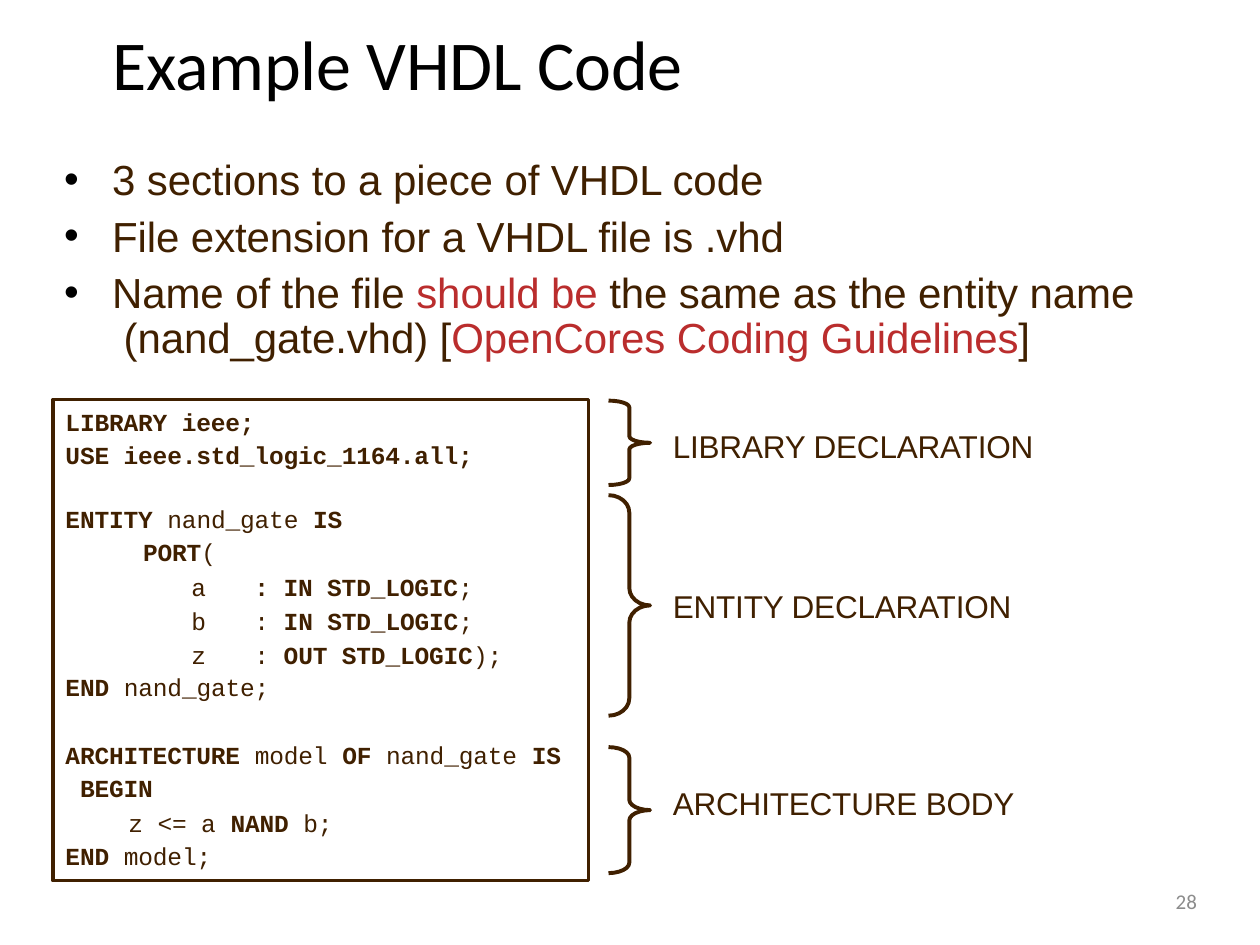
from pptx import Presentation
from pptx.dml.color import RGBColor
from pptx.enum.shapes import MSO_SHAPE
from pptx.enum.text import MSO_ANCHOR, PP_ALIGN
from pptx.oxml import parse_xml
from pptx.oxml.ns import nsdecls
from pptx.util import Inches, Pt

BROWN = RGBColor(0x40, 0x20, 0x00)
RED = RGBColor(0xBA, 0x2D, 0x2D)
BLACK = RGBColor(0, 0, 0)
GRAY = RGBColor(0x8C, 0x8C, 0x8C)
BRACE, RECTANGLE = MSO_SHAPE.RIGHT_BRACE, MSO_SHAPE.RECTANGLE
CENTER, RIGHT = PP_ALIGN.CENTER, PP_ALIGN.RIGHT
MIDDLE = MSO_ANCHOR.MIDDLE

deck = Presentation()
deck.slide_width, deck.slide_height = Inches(10), Inches(7.5)
page = deck.slides.add_slide(deck.slide_layouts[6])


def add_box(left, top, width, height, top_inset=0.02):
    box = page.shapes.add_textbox(Inches(left), Inches(top), Inches(width), Inches(height))
    frame = box.text_frame
    frame.word_wrap = True
    frame.margin_left = frame.margin_right = frame.margin_bottom = 0
    frame.margin_top = Inches(top_inset)
    return frame


def write(para, marked, font, size, color=BROWN, accent=None, tracking=-10):
    """Write text where *...* is in the accent colour, or bold if there is none."""
    for number, piece in enumerate(marked.split("*")):
        marked_piece = number % 2 == 1
        for row, part in enumerate(piece.split("\v")):
            if row:
                para.add_line_break()
            if not part:
                continue
            span = para.add_run()
            span.text = part
            span.font.name, span.font.size = font, Pt(size)
            span.font.bold = marked_piece and accent is None
            span.font.color.rgb = accent if marked_piece and accent else color
            span.font._element.set("spc", str(tracking))


# Title
frame = add_box(0.5, 0.14, 5.31, 0.69)
frame.vertical_anchor = MIDDLE
frame.paragraphs[0].alignment = CENTER
write(frame.paragraphs[0], "Example VHDL Code", "Calibri", 40, BLACK)

# Bullets
bullets = [
    ("3 sections to a piece of VHDL code", 0),
    ("File extension for a VHDL file is .vhd", 3.4),
    ("Name of the file *should be* the same as the entity name\v"
     " (nand_gate.vhd) [*OpenCores Coding Guidelines*]", 6.4),
]
frame = add_box(0.5, 1.1, 8.56, 1.73, 0.12)
for index, (text, before) in enumerate(bullets):
    para = frame.add_paragraph() if index else frame.paragraphs[0]
    props = para._p.get_or_add_pPr()
    props.set("marL", str(Inches(0.39)))
    props.set("indent", str(-Inches(0.38)))
    for tag in ('<a:buClr %s><a:srgbClr val="000000"/></a:buClr>',
                '<a:buFont %s typeface="Arial"/>', '<a:buChar %s char="•"/>'):
        props.append(parse_xml(tag % nsdecls("a")))
    para.space_before = Pt(before)
    if "\v" in text:
        para.line_spacing = Pt(25.9)
    write(para, text, "Arial", 24, accent=RED, tracking=-5)

# Frame around the code
border = page.shapes.add_shape(RECTANGLE, Inches(0.42), Inches(3.17), Inches(4.25), Inches(3.82))
border.shadow.inherit = False
border.fill.background()
border.line.color.rgb, border.line.width = BROWN, Pt(2)

# Code blocks: place, then lines as (text, left indent, first indent, line spacing, space before)
code_blocks = [
    ((0.52, 3.15, 3.9, 0.55, 0.08), [
        ("*LIBRARY ieee;*", 0, 0, 1, 0),
        ("*USE ieee.std_logic_1164.all;*", 0, 0, 1, 2.1)]),
    ((0.52, 3.95, 3, 0.55), [
        ("*ENTITY* nand_gate *IS\v PORT*(", 0.5, -0.5, 1.13, 0)]),
    ((1.52, 4.46, 2.9, 0.84, 0.04), [
        ("a\t*: IN STD_LOGIC*;\vb\t: *IN STD_LOGIC*;\vz\t: *OUT STD_LOGIC*);", 0, 0, 1.16, 0)]),
    ((0.52, 5.31, 2, 0.26), [
        ("*END* nand_gate;", 0, 0, 1, 0)]),
    ((0.52, 5.82, 4.1, 1.09), [
        ("*ARCHITECTURE* model *OF* nand_gate *IS\v BEGIN*", 0, 0, 1.13, 0),
        ("z <= a *NAND* b;", 0.5, 0, 1, 3.1),
        ("*END* model;", 0, 0, 1, 2.1)]),
]
for place, lines in code_blocks:
    frame = add_box(*place)
    for index, (text, left, first, spacing, before) in enumerate(lines):
        para = frame.add_paragraph() if index else frame.paragraphs[0]
        props = para._p.get_or_add_pPr()
        props.set("marL", str(Inches(left)))
        props.set("indent", str(Inches(first)))
        if "\t" in text:
            props.append(parse_xml('<a:tabLst %s><a:tab pos="%d" algn="l"/></a:tabLst>'
                                   % (nsdecls("a"), Inches(0.46))))
        para.line_spacing, para.space_before = spacing, Pt(before)
        write(para, text, "Courier New", 14)

# Braces and section labels: brace top, height, curl, label top
sections = [
    ("LIBRARY DECLARATION", 3.18, 0.67, 0.16, 3.37),
    ("ENTITY DECLARATION", 3.93, 1.75, 0.42, 4.64),
    ("ARCHITECTURE BODY", 5.93, 1, 0.25, 6.2),
]
for label, top, height, curl, label_top in sections:
    brace = page.shapes.add_shape(BRACE, Inches(4.83), Inches(top), Inches(0.33), Inches(height))
    brace.adjustments[0], brace.adjustments[1] = curl, 0.5
    brace.shadow.inherit = False
    brace.fill.background()
    brace.line.color.rgb, brace.line.width = BROWN, Pt(2.25)
    frame = add_box(5.34, label_top, 3, 0.33)
    write(frame.paragraphs[0], label, "Arial", 18)

# Slide number
frame = add_box(7.17, 6.95, 2.33, 0.4, 0)
frame.vertical_anchor = MIDDLE
frame.paragraphs[0].alignment = RIGHT
write(frame.paragraphs[0], "28", "Calibri", 12, GRAY, tracking=0)

deck.save("out.pptx")
